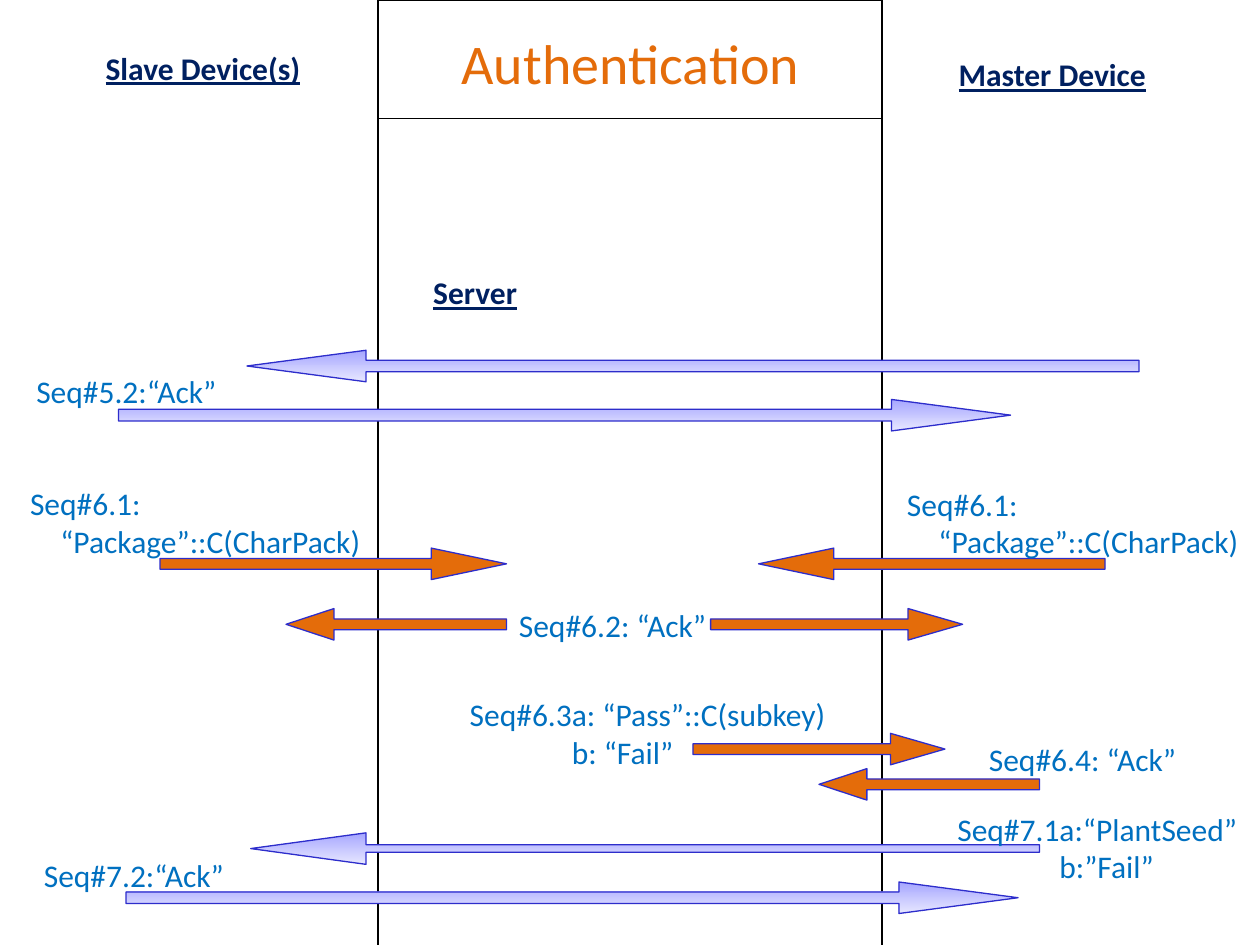
from dataclasses import dataclass

from lxml.etree import SubElement
from pptx import Presentation
from pptx.dml.color import RGBColor
from pptx.enum.shapes import MSO_CONNECTOR, MSO_SHAPE
from pptx.enum.text import MSO_ANCHOR, MSO_AUTO_SIZE, PP_ALIGN
from pptx.oxml.ns import qn
from pptx.util import Inches, Pt


@dataclass(frozen=True)
class Theme:
    """Colours, type sizes and line width of the slide."""

    font: str = "Calibri"
    title_size: Pt = Pt(32)
    body_size: Pt = Pt(18)
    rule_width: Pt = Pt(0.75)
    rule: RGBColor = RGBColor(0, 0, 0)
    accent: RGBColor = RGBColor(0xE4, 0x6C, 0x0A)
    header: RGBColor = RGBColor(0x00, 0x20, 0x60)
    message: RGBColor = RGBColor(0x00, 0x70, 0xC0)
    arrow_edge: RGBColor = RGBColor(0x2D, 0x2D, 0xCB)
    relay: tuple = (RGBColor(0xA6, 0xA6, 0xFF), RGBColor(0xE7, 0xE7, 0xFF))


THEME = Theme()
ARROW_HEIGHT = 0.25
LANE_EDGES = (3, 7)

HEADERS = [
    ("Slave Device(s)", 0.74, 0.34, 1.76),
    ("Master Device", 7.51, 0.39, 1.7),
    ("Server", 3.34, 2.12, 0.87),
]

SERVER_ARROWS = [
    ("right", 1.27, 4.35, 2.75, 2.39),
    ("left", 6.02, 4.35, 2.75, 2.39),
    ("left", 2.27, 4.83, 1.75, 1.52),
    ("right", 5.64, 4.83, 2, 1.73),
    ("right", 5.5, 5.82, 2, 1.73),
    ("left", 6.5, 6.1, 1.75, 1.52),
]

RELAY_ARROWS = [
    ("left", 1.96, 2.78, 7.08, 3.78, 0.37),
    ("right", 0.94, 3.17, 7.08, 3.78, 0.37),
    ("left", 1.99, 6.61, 6.26, 3.66, 0.24),
    ("right", 1, 7, 7.08, 3.78, 0.37),
]

MESSAGES = [
    (0.19, 2.91, 3, 0.38, [("Seq#5.2:“Ack”", 0)]),
    (0.14, 3.81, 6.42, 0.66,
     [("Seq#6.1:", 0), ("“Package”::C(CharPack)", 0.24)]),
    (6.1, 3.79, 3.9, 0.71,
     [("Seq#6.1:", 1), ("“Package”::C(CharPack)", 1.25)]),
    (4.02, 4.76, 1.73, 0.4, [("Seq#6.2: “Ack”", 0)]),
    (3.63, 5.49, 6.37, 0.66,
     [("Seq#6.3a: “Pass”::C(subkey)", 0), ("b: “Fail”", 0.81)]),
    (7.75, 5.83, 2.25, 0.38, [("Seq#6.4: “Ack”", 0)]),
    (7, 6.37, 3, 0.71, [("Seq#7.1a:“PlantSeed”", 0.5), ("b:”Fail”", 1.31)]),
    (0.25, 6.75, 3, 0.38, [("Seq#7.2:“Ack”", 0)]),
]


def apply(target, formats):
    """Set each named attribute of the target."""
    for name, value in formats.items():
        setattr(target, name, value)


def style_text(paragraph, colour, size, **formats):
    """Give a paragraph its font, colour and size."""
    apply(paragraph.font, {"name": THEME.font, "size": size, **formats})
    paragraph.font.color.rgb = colour


def draw_edge(shape, colour):
    """Give a shape or connector its thin outline."""
    shape.line.color.rgb = colour
    shape.line.width = THEME.rule_width


def add_lanes(slide):
    """Draw the two lane dividers and the title frame between them."""
    left, right = LANE_EDGES
    for x in LANE_EDGES:
        divider = slide.shapes.add_connector(
            MSO_CONNECTOR.STRAIGHT, Inches(x), 0, Inches(x), Inches(7.5))
        draw_edge(divider, THEME.rule)
        SubElement(divider._element.spPr, qn("a:effectLst"))
    frame = slide.shapes.add_shape(
        MSO_SHAPE.RECTANGLE, Inches(left), 0, Inches(right - left), Inches(0.94))
    frame.shadow.inherit = False
    frame.fill.background()
    draw_edge(frame, THEME.rule)


def set_title(slide, wording):
    """Place and format the slide title."""
    title = slide.shapes.title
    apply(title, {"left": Inches(3.14), "top": Inches(0.17),
                  "width": Inches(3.73), "height": Inches(0.64)})
    title.text_frame.text = wording
    apply(title.text_frame, {"vertical_anchor": MSO_ANCHOR.MIDDLE,
                             "word_wrap": True,
                             "auto_size": MSO_AUTO_SIZE.NONE})
    paragraph = title.text_frame.paragraphs[0]
    paragraph.alignment = PP_ALIGN.CENTER
    style_text(paragraph, THEME.accent, THEME.title_size)


def add_header(slide, wording, left, top, width):
    """Add an underlined name for one party."""
    header = slide.shapes.add_textbox(
        Inches(left), Inches(top), Inches(width), Inches(0.4))
    apply(header.text_frame, {"text": wording, "word_wrap": False,
                              "auto_size": MSO_AUTO_SIZE.SHAPE_TO_FIT_TEXT})
    style_text(header.text_frame.paragraphs[0], THEME.header, THEME.body_size,
               bold=True, underline=True)


def add_message(slide, left, top, width, height, lines):
    """Add a message label whose lines carry their own indents."""
    label = slide.shapes.add_textbox(
        Inches(left), Inches(top), Inches(width), Inches(height))
    apply(label.text_frame, {"text": "\n".join(wording for wording, _ in lines),
                             "word_wrap": True,
                             "vertical_anchor": MSO_ANCHOR.MIDDLE,
                             "auto_size": MSO_AUTO_SIZE.SHAPE_TO_FIT_TEXT})
    for paragraph, (_, indent) in zip(label.text_frame.paragraphs, lines):
        style_text(paragraph, THEME.message, THEME.body_size)
        if indent:
            paragraph._p.get_or_add_pPr().set("marL", str(Inches(indent)))


def add_arrow(slide, direction, left, top, width, head, shaft=0.34):
    """Add an outlined block arrow and return it for filling."""
    kind = MSO_SHAPE.LEFT_ARROW if direction == "left" else MSO_SHAPE.RIGHT_ARROW
    arrow = slide.shapes.add_shape(
        kind, Inches(left), Inches(top), Inches(width), Inches(ARROW_HEIGHT))
    arrow.adjustments[0] = shaft
    arrow.adjustments[1] = head
    arrow.shadow.inherit = False
    draw_edge(arrow, THEME.arrow_edge)
    return arrow


def add_server_arrow(slide, *placement):
    """Add a solid arrow to or from the server."""
    arrow = add_arrow(slide, *placement)
    arrow.fill.solid()
    arrow.fill.fore_color.rgb = THEME.accent


def add_relay_arrow(slide, *placement):
    """Add a shaded arrow that runs between the devices."""
    arrow = add_arrow(slide, *placement)
    arrow.fill.gradient()
    arrow.fill.gradient_angle = 270
    for stop, colour in zip(arrow.fill.gradient_stops, THEME.relay):
        stop.color.rgb = colour


def main():
    """Build the authentication sequence slide."""
    deck = Presentation()
    apply(deck, {"slide_width": Inches(10), "slide_height": Inches(7.5)})
    slide = deck.slides.add_slide(deck.slide_layouts[5])
    add_lanes(slide)
    set_title(slide, "Authentication")
    for add, rows in ((add_header, HEADERS), (add_server_arrow, SERVER_ARROWS),
                      (add_relay_arrow, RELAY_ARROWS), (add_message, MESSAGES)):
        for row in rows:
            add(slide, *row)
    deck.save("out.pptx")


if __name__ == "__main__":
    main()
